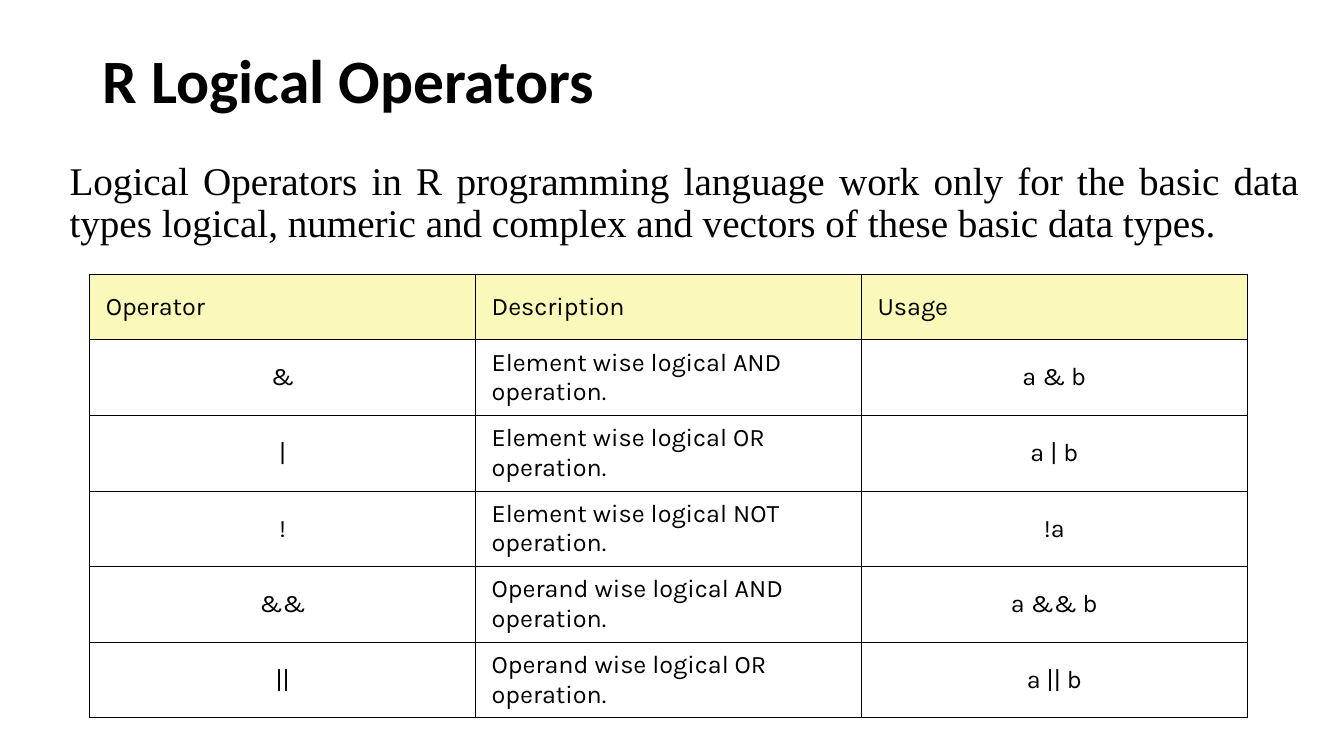
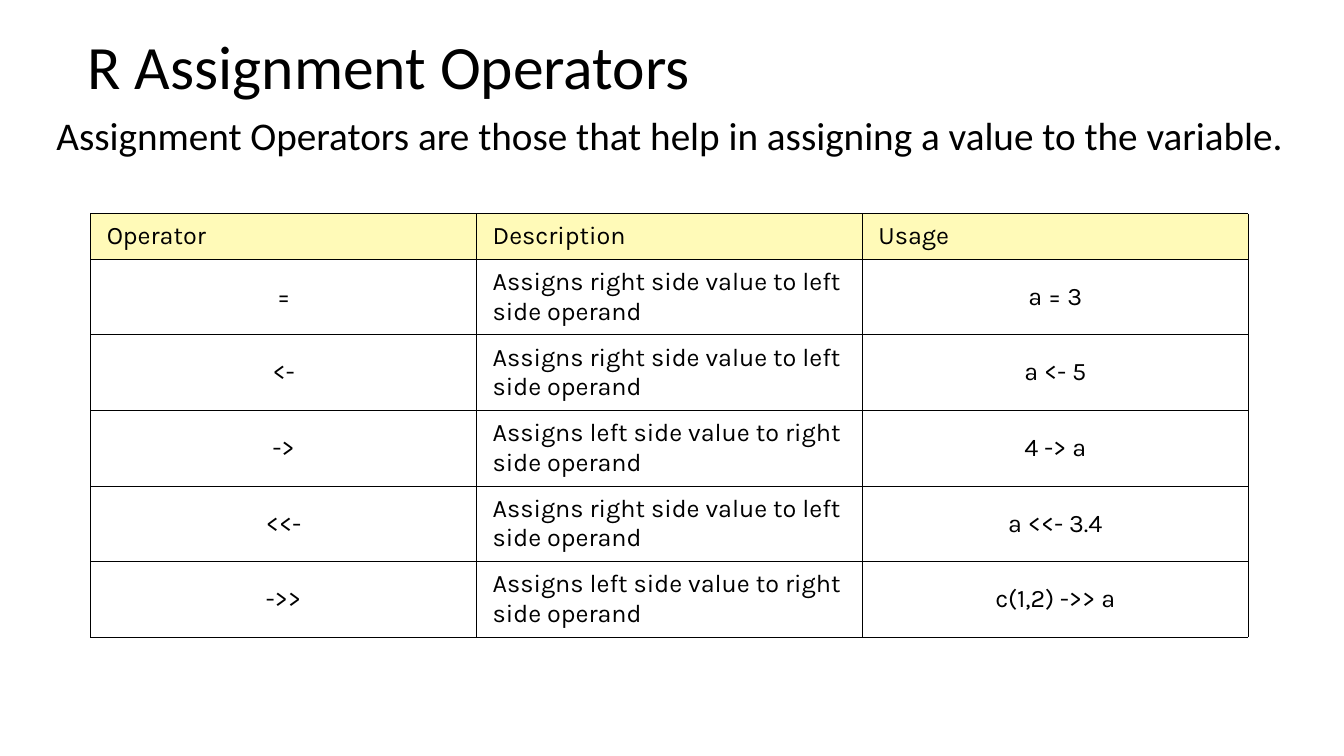
import dataclasses

import lxml.etree
import pptx
import pptx.dml.color
import pptx.enum.text
import pptx.oxml.ns
import pptx.util

Inches = pptx.util.Inches
Align = pptx.enum.text.PP_ALIGN
Anchor = pptx.enum.text.MSO_ANCHOR
qn = pptx.oxml.ns.qn


@dataclasses.dataclass(frozen=True)
class Theme:
    ink: str = "000000"
    paper: str = "FFFFFF"
    heading_font: str = "Calibri"
    table_font: str = "Karla"
    title_size: int = 44
    intro_size: int = 28
    table_size: int = 18
    border_width: float = 0.34
    line_spacing: float = 0.9
    column_width: float = 3.83
    row_height: float = 0.75
    cell_margin: float = 0.16


theme = Theme()
columns = ["Operator", "Description", "Usage"]
topics = [
    {
        "title": "R Logical Operators",
        "title_box": (0.92, 0.4, 11.5, 0.85),
        "title_bold": True,
        "intro": "Logical Operators in R programming language work only for the basic data "
                 "types logical, numeric and complex and vectors of these basic data types.",
        "intro_box": (0.59, 1.55, 12.41, 5.68),
        "intro_font": "Times New Roman",
        "intro_align": Align.JUSTIFY,
        "table_corner": (0.89, 2.72),
        "header_height": 0.65,
        "header_fill": "FAF9B9",
        "operators": [
            ("&", "Element wise logical AND operation.", "a & b"),
            ("|", "Element wise logical OR operation.", "a | b"),
            ("!", "Element wise logical NOT operation.", "!a"),
            ("&&", "Operand wise logical AND operation.", "a && b"),
            ("||", "Operand wise logical OR operation.", "a || b"),
        ],
    },
    {
        "title": "R Assignment Operators",
        "title_box": (0.77, 0.22, 11.95, 0.94),
        "title_bold": False,
        "intro": "Assignment Operators are those that help in assigning a value to the variable.",
        "intro_box": (0.46, 1.11, 12.46, 6.2),
        "intro_font": theme.heading_font,
        "intro_align": Align.LEFT,
        "table_corner": (0.9, 2.12),
        "header_height": 0.45,
        "header_fill": "FFFAB8",
        "operators": [
            ("=", "Assigns right side value to left side operand", "a = 3"),
            ("<-", "Assigns right side value to left side operand", "a <- 5"),
            ("->", "Assigns left side value to right side operand", "4 -> a"),
            ("<<-", "Assigns right side value to left side operand", "a <<- 3.4"),
            ("->>", "Assigns left side value to right side operand", "c(1,2) ->> a"),
        ],
    },
]


def write(frame, text, font, size, align, bold=False):
    """Fill a text frame with one formatted paragraph and return the paragraph."""
    frame.text = text
    paragraph = frame.paragraphs[0]
    paragraph.alignment = align
    paragraph.space_before = pptx.util.Pt(0)
    for run in paragraph.runs:
        run.font.name = font
        run.font.size = pptx.util.Pt(size)
        run.font.bold = bold
        run.font.color.rgb = pptx.dml.color.RGBColor.from_string(theme.ink)
    return paragraph


def add_borders(cell):
    properties = cell._tc.get_or_add_tcPr()
    for side in ("a:lnL", "a:lnR", "a:lnT", "a:lnB"):
        line = lxml.etree.SubElement(properties, qn(side), w=str(pptx.util.Pt(theme.border_width)))
        fill = lxml.etree.SubElement(line, qn("a:solidFill"))
        lxml.etree.SubElement(fill, qn("a:srgbClr"), val=theme.ink)


deck = pptx.Presentation()
deck.slide_width = Inches(13.34)
deck.slide_height = Inches(7.5)

for topic in topics:
    slide = deck.slides.add_slide(deck.slide_layouts[1])
    title, intro = slide.shapes.title, slide.placeholders[1]
    for placeholder, box in ((title, topic["title_box"]), (intro, topic["intro_box"])):
        placeholder.left, placeholder.top, placeholder.width, placeholder.height = map(Inches, box)
        placeholder.text_frame.auto_size = pptx.enum.text.MSO_AUTO_SIZE.NONE

    title.text_frame.vertical_anchor = Anchor.MIDDLE
    heading = write(title.text_frame, topic["title"], theme.heading_font,
                    theme.title_size, Align.LEFT, topic["title_bold"])
    heading.line_spacing = theme.line_spacing

    summary = write(intro.text_frame, topic["intro"], topic["intro_font"],
                    theme.intro_size, topic["intro_align"])
    summary.line_spacing = theme.line_spacing
    bullet_settings = summary._p.get_or_add_pPr()
    bullet_settings.set("marL", "0")
    bullet_settings.set("indent", "0")
    lxml.etree.SubElement(bullet_settings, qn("a:buNone"))

    rows = [columns] + topic["operators"]
    left, top = topic["table_corner"]
    table_height = topic["header_height"] + theme.row_height * len(topic["operators"])
    operators = slide.shapes.add_table(
        len(rows), len(columns), Inches(left), Inches(top),
        Inches(theme.column_width * len(columns)), Inches(table_height)).table
    operators.first_row = operators.horz_banding = False
    for column in operators.columns:
        column.width = Inches(theme.column_width)

    for row_index, row in enumerate(rows):
        is_header = row_index == 0
        operators.rows[row_index].height = Inches(
            topic["header_height"] if is_header else theme.row_height)
        for column_index, text in enumerate(row):
            cell = operators.cell(row_index, column_index)
            is_left = is_header or columns[column_index] == "Description"
            write(cell.text_frame, text, theme.table_font, theme.table_size,
                  Align.LEFT if is_left else Align.CENTER)
            cell.vertical_anchor = Anchor.MIDDLE
            cell.margin_left = cell.margin_right = Inches(theme.cell_margin)
            add_borders(cell)
            cell.fill.solid()
            cell.fill.fore_color.rgb = pptx.dml.color.RGBColor.from_string(
                topic["header_fill"] if is_header else theme.paper)

deck.save("out.pptx")
